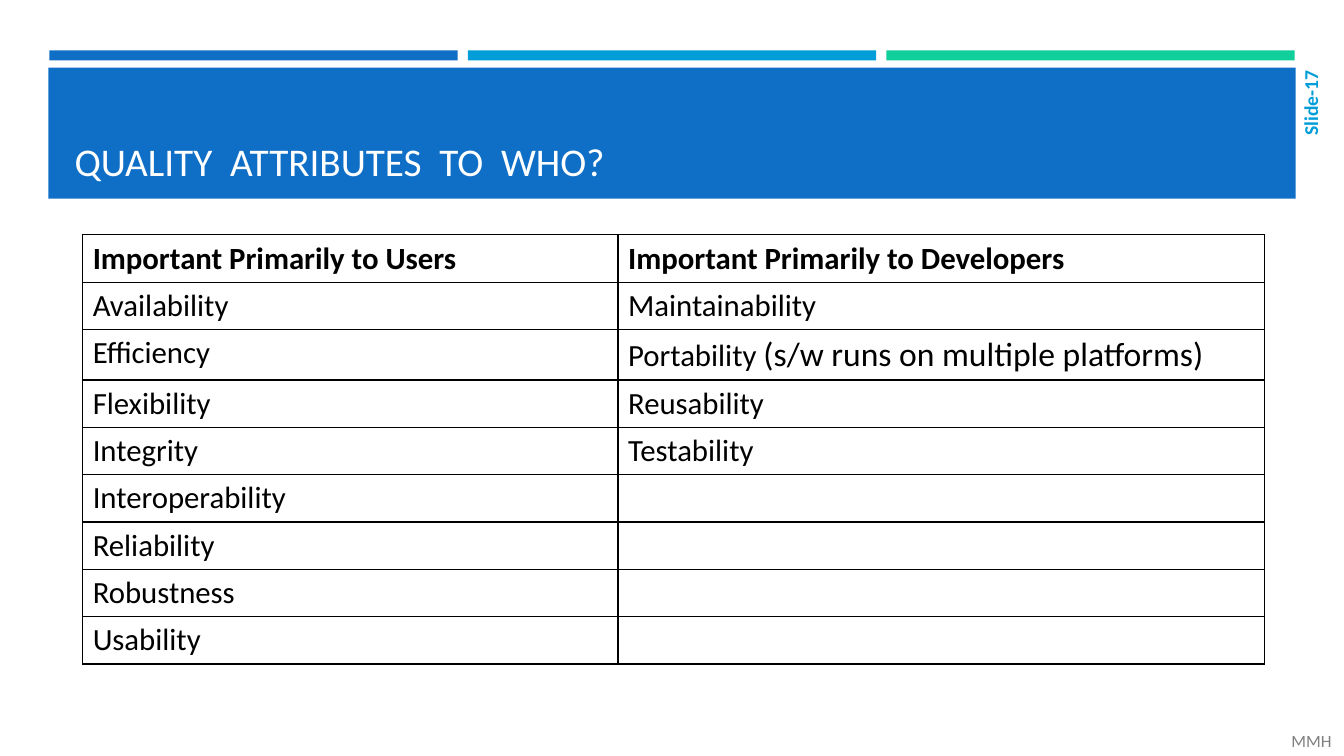
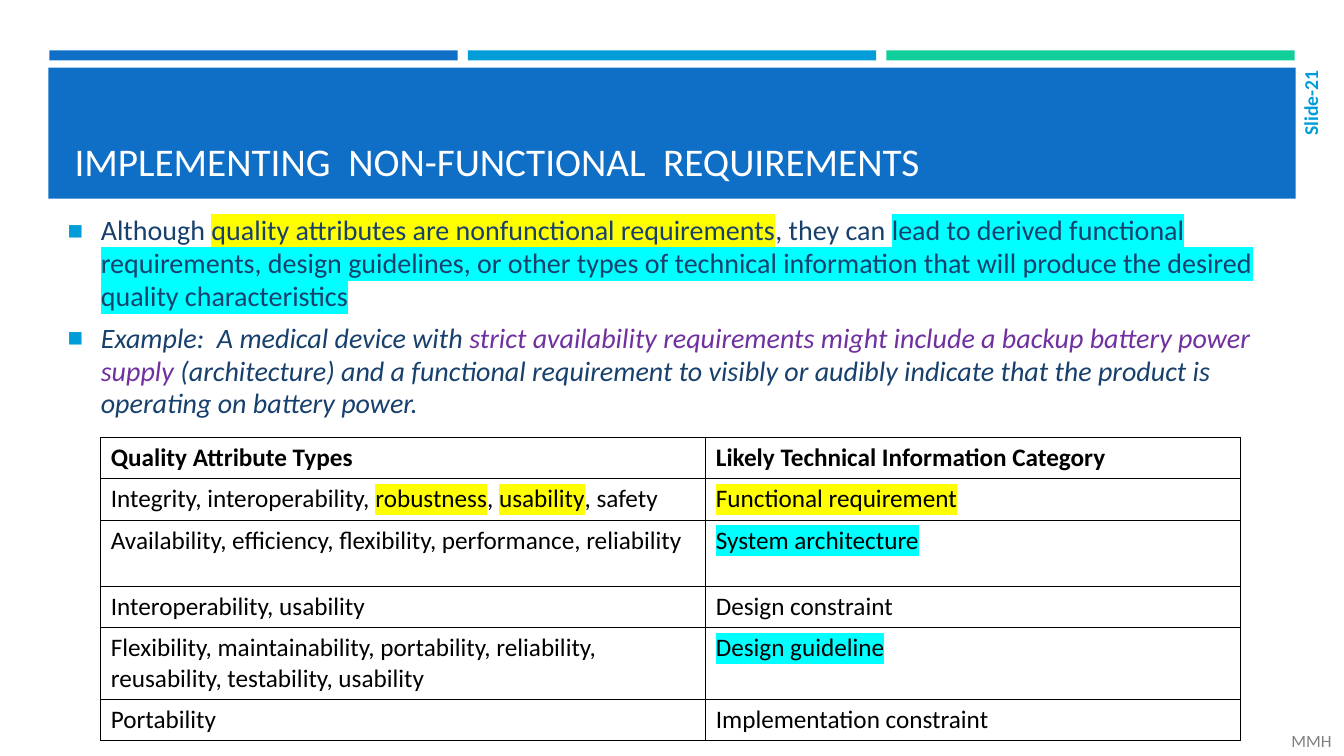
"""Build two slides on software quality attributes with a shared banner design."""
from lxml import etree
from pptx import Presentation
from pptx.dml.color import RGBColor
from pptx.enum.shapes import MSO_SHAPE
from pptx.enum.text import MSO_ANCHOR, MSO_AUTO_SIZE, PP_ALIGN
from pptx.oxml import parse_xml
from pptx.oxml.ns import nsdecls, qn
from pptx.util import Inches, Pt

RECTANGLE = MSO_SHAPE.RECTANGLE
TOP, MIDDLE, BOTTOM = MSO_ANCHOR.TOP, MSO_ANCHOR.MIDDLE, MSO_ANCHOR.BOTTOM
LEFT, RIGHT = PP_ALIGN.LEFT, PP_ALIGN.RIGHT
NO_AUTOFIT = MSO_AUTO_SIZE.NONE
FONT = "Calibri"
COLORS = {
    "blue": "0F6FC6", "sky": "009DD9", "green": "10CF9B", "navy": "17406D",
    "purple": "7030A0", "yellow": "FFFF00", "cyan": "00FFFF",
    "gray": "808080", "black": "000000", "white": "FFFFFF",
}


def write(paragraph, text, size=18, color="black", bold=False, italic=False, highlight=None):
    """Add one formatted run to a paragraph."""
    run = paragraph.add_run()
    run.text = text
    font = run.font
    font.name, font.size, font.bold, font.italic = FONT, Pt(size), bold, italic
    font.color.rgb = RGBColor.from_string(COLORS[color])
    if highlight:
        mark = parse_xml(f'<a:highlight {nsdecls("a")}><a:srgbClr val="{COLORS[highlight]}"/></a:highlight>')
        run._r.rPr.find(qn("a:solidFill")).addnext(mark)


def add_grid(slide, left, top, widths, heights, rows, size, border, header_anchor):
    """Add a plain bordered table whose cells are strings or lists of runs."""
    frame = slide.shapes.add_table(len(heights), len(widths), Inches(left), Inches(top),
                                   Inches(sum(widths)), Inches(sum(heights)))
    table = frame.table
    table.first_row = table.horz_banding = False
    for column, width in zip(table.columns, widths):
        column.width = Inches(width)
    for row_index, (row, height) in enumerate(zip(rows, heights)):
        table.rows[row_index].height = Inches(height)
        for column_index, content in enumerate(row):
            cell = table.cell(row_index, column_index)
            cell.vertical_anchor = TOP if row_index else header_anchor
            cell.fill.background()
            runs = [(content, {})] if isinstance(content, str) else content
            for text, style in runs:
                if text:
                    write(cell.text_frame.paragraphs[0], text,
                          **{"size": size, "bold": row_index == 0, **style})
            properties = cell._tc.get_or_add_tcPr()
            for position, side in enumerate(("lnL", "lnR", "lnT", "lnB")):
                line = etree.Element(qn(f"a:{side}"), w=str(Pt(border)))
                fill = etree.SubElement(line, qn("a:solidFill"))
                etree.SubElement(fill, qn("a:srgbClr"), val=COLORS["black"])
                properties.insert(position, line)


presentation = Presentation()
presentation.slide_width, presentation.slide_height = Inches(13.33), Inches(7.5)
layouts = presentation.slide_layouts
who_slide = presentation.slides.add_slide(layouts.get_by_name("Title Only"))
implementing_slide = presentation.slides.add_slide(layouts.get_by_name("Title and Content"))

bands = [(0.49 + 4.15 * index, 0.5, 4.05, 0.1, color)
         for index, color in enumerate(("blue", "sky", "green"))]
bands.append((0.48, 0.67, 12.37, 1.3, "blue"))
master_shapes = presentation.slide_master.shapes
for index, (left, top, width, height, color) in enumerate(bands):
    band = who_slide.shapes.add_shape(RECTANGLE, Inches(left), Inches(top), Inches(width), Inches(height))
    band.shadow.inherit = False
    band.fill.solid()
    band.fill.fore_color.rgb = RGBColor.from_string(COLORS[color])
    band.line.fill.background()
    band.element.nvSpPr.cNvPr.set("id", str(20 + index))
    master_shapes.element.append(band.element)

titles = [
    (who_slide, "QUALITY  ATTRIBUTES  TO  WHO?", "Slide-17"),
    (implementing_slide, "IMPLEMENTING  NON-FUNCTIONAL  REQUIREMENTS", "Slide-21"),
]
for slide, heading, number in titles:
    title = slide.shapes.title
    title.left, title.top, title.width, title.height = Inches(0.64), Inches(0.77), Inches(12.06), Inches(1.11)
    title.text_frame.auto_size = NO_AUTOFIT
    title.text_frame.vertical_anchor = BOTTOM
    paragraph = title.text_frame.paragraphs[0]
    paragraph.alignment = LEFT
    write(paragraph, heading, size=28, color="white")

    number_box = slide.shapes.add_textbox(Inches(12.87), Inches(0.66), Inches(0.25), Inches(0.91))
    number_frame = number_box.text_frame
    number_frame.word_wrap = True
    number_frame.vertical_anchor = MIDDLE
    number_frame.margin_left = number_frame.margin_right = Inches(0.04)
    number_frame.margin_top = number_frame.margin_bottom = Inches(0.04)
    number_frame._txBody.bodyPr.set("vert", "vert270")
    number_frame.paragraphs[0].alignment = RIGHT
    write(number_frame.paragraphs[0], number, size=14, color="sky", bold=True)

    footer = slide.shapes.add_textbox(Inches(12.71), Inches(7.2), Inches(0.62), Inches(0.3))
    footer.text_frame.word_wrap = True
    footer.text_frame.margin_right = 0
    footer.text_frame.vertical_anchor = MIDDLE
    write(footer.text_frame.paragraphs[0], "MMH", size=12.3, color="gray")

who_rows = [
    ("Important Primarily to Users", "Important Primarily to Developers"),
    ("Availability", "Maintainability"),
    ("Efficiency", [("Portability ", {}), ("(s/w runs on multiple platforms)", {"size": 24})]),
    ("Flexibility", "Reusability"),
    ("Integrity", "Testability"),
    ("Interoperability", ""),
    ("Reliability", ""),
    ("Robustness", ""),
    ("Usability", ""),
]
add_grid(who_slide, 0.82, 2.33, [5.31, 6.41], [0.47] * len(who_rows), who_rows,
         size=22, border=1, header_anchor=MIDDLE)

yellow, cyan = {"highlight": "yellow"}, {"highlight": "cyan"}
italic = {"italic": True}
bullets = [
    [("Although ", {}),
     ("quality attributes are nonfunctional requirements", yellow),
     (", they can ", {}),
     ("lead to derived functional requirements, design guidelines, or other types of technical "
      "information that will produce the desired quality characteristics", cyan)],
    [("Example:  A medical device with ", italic),
     ("strict availability requirements might include a backup battery power supply ",
      {"italic": True, "color": "purple"}),
     ("(architecture) and a functional requirement to visibly or audibly indicate that the "
      "product is operating on battery power.", italic)],
]
body = implementing_slide.placeholders[1]
body.left, body.top, body.width, body.height = Inches(0.57), Inches(2.1), Inches(12.06), Inches(2.1)
body_frame = body.text_frame
body_frame.auto_size = NO_AUTOFIT
body_frame.vertical_anchor = MIDDLE
for index, runs in enumerate(bullets):
    paragraph = body_frame.add_paragraph() if index else body_frame.paragraphs[0]
    paragraph.line_spacing = 0.98
    paragraph.space_before, paragraph.space_after = Pt(0), Pt(6)
    properties = paragraph._p.get_or_add_pPr()
    properties.set("marL", str(Inches(0.33)))
    properties.set("indent", str(Inches(-0.33)))
    bullet_color = etree.SubElement(properties, qn("a:buClr"))
    etree.SubElement(bullet_color, qn("a:srgbClr"), val=COLORS["sky"])
    etree.SubElement(properties, qn("a:buSzPct"), val="92000")
    etree.SubElement(properties, qn("a:buChar"), char="■")
    for text, style in runs:
        write(paragraph, text, **{"size": 20, "color": "navy", **style})

implementing_rows = [
    ("Quality Attribute Types", "Likely Technical Information Category"),
    ([("Integrity, interoperability, ", {}), ("robustness", yellow), (", ", {}),
      ("usability", yellow), (", safety", {})],
     [("Functional requirement", yellow)]),
    ("Availability, efficiency, flexibility, performance, reliability",
     [("System architecture", cyan)]),
    ("Interoperability, usability", "Design constraint"),
    ("Flexibility, maintainability, portability, reliability, reusability, testability, usability",
     [("Design guideline", cyan)]),
    ("Portability", "Implementation constraint"),
]
add_grid(implementing_slide, 1, 4.34, [6, 5.3], [0.41, 0.41, 0.66, 0.41, 0.71, 0.41],
         implementing_rows, size=18, border=0.75, header_anchor=TOP)

presentation.save("out.pptx")
